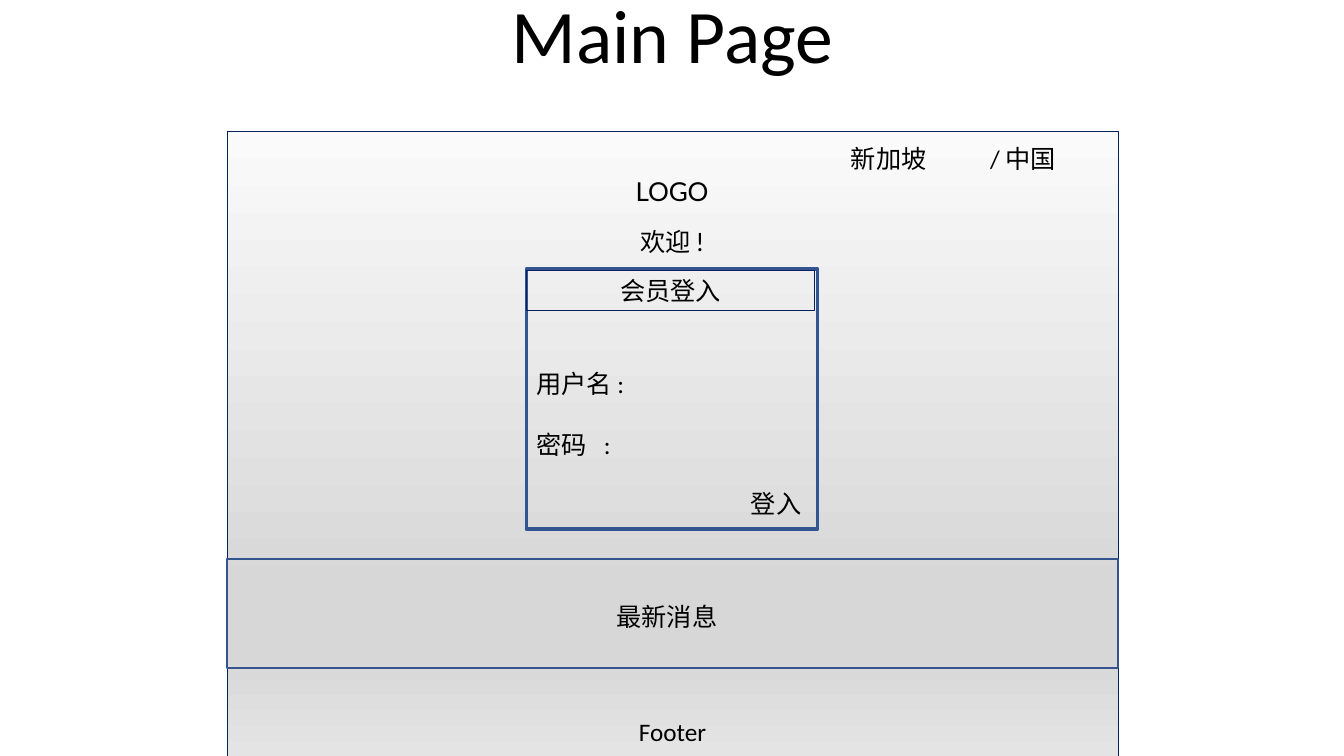
import lxml.etree
import pptx
import pptx.dml.color
import pptx.enum.shapes
import pptx.enum.text
import pptx.oxml
import pptx.oxml.ns
import pptx.util

COLORS = {
    "ink": "000000",
    "navy": "002060",
    "blue": "325491",
    "page_top": "FAFAFA",
    "page_mid": "D7D7D7",
    "page_end": "E4E4E4",
}
PAGE_STOPS = [(0, "page_top"), (74, "page_mid"), (83, "page_mid"), (100, "page_end")]
ALIGN = pptx.enum.text.PP_ALIGN
ANCHOR = pptx.enum.text.MSO_ANCHOR
PAGE_LEFT, PAGE_WIDTH = 16.88, 66.32
LOGIN_LEFT = 39.16
LINE_HEIGHT = 5.33


def rgb(name):
    return pptx.dml.color.RGBColor.from_string(COLORS[name])


def write_text(frame, text, size=18, font="Calibri", align=ALIGN.LEFT, anchor=ANCHOR.TOP,
               wrap=True, inset=0.1, tab=None, gap=0, spacing=None, baseline=None):
    frame.word_wrap = wrap
    frame.auto_size = pptx.enum.text.MSO_AUTO_SIZE.NONE
    frame.vertical_anchor = anchor
    frame.margin_left = pptx.util.Inches(inset)
    for index, line in enumerate(text.split("\n")):
        paragraph = frame.add_paragraph() if index else frame.paragraphs[0]
        paragraph.alignment = align
        if tab:
            stops = lxml.etree.SubElement(paragraph._p.get_or_add_pPr(),
                                          pptx.oxml.ns.qn("a:tabLst"))
            lxml.etree.SubElement(stops, pptx.oxml.ns.qn("a:tab"),
                                  pos=str(pptx.util.Inches(tab)), algn="l")
        if spacing:
            paragraph.line_spacing = spacing
        if index and gap:
            paragraph.space_before = pptx.util.Pt(gap)
        run = paragraph.add_run()
        run.text = line
        run.font.size = pptx.util.Pt(size)
        run.font.name = font
        run.font.color.rgb = rgb("ink")
        if baseline:
            run.font._element.set("baseline", str(baseline * 1000))


class Wireframe:
    """Draws page parts on one slide, placed in percent of the slide's size."""

    def __init__(self, deck):
        self.deck = deck
        self.slide = deck.slides.add_slide(deck.slide_layouts[0])
        subtitle = self.slide.placeholders[1]._element
        subtitle.getparent().remove(subtitle)

    def area(self, left, top, width, height):
        across, down = self.deck.slide_width / 100, self.deck.slide_height / 100
        return [round(share * unit) for share, unit in
                zip((left, top, width, height), (across, down, across, down))]

    def title(self, area, text, **style):
        heading = self.slide.shapes.title
        heading.left, heading.top, heading.width, heading.height = self.area(*area)
        write_text(heading.text_frame, text, **style)

    def label(self, area, text, **style):
        box = self.slide.shapes.add_textbox(*self.area(*area))
        write_text(box.text_frame, text, **style)

    def panel(self, area, line, weight, stops=None):
        panel = self.slide.shapes.add_shape(
            pptx.enum.shapes.MSO_SHAPE.RECTANGLE, *self.area(*area))
        panel.shadow.inherit = False
        panel.line.color.rgb = rgb(line)
        panel.line.width = pptx.util.Pt(weight)
        if stops:
            self.shade(panel, stops)
        else:
            panel.fill.background()
        return panel

    def shade(self, panel, stops):
        panel.fill.gradient()
        panel.fill.gradient_angle = 270
        stop_list = panel._element.spPr.find(".//" + pptx.oxml.ns.qn("a:gsLst"))
        for old_stop in list(stop_list):
            stop_list.remove(old_stop)
        for position, color in stops:
            stop = lxml.etree.SubElement(stop_list, pptx.oxml.ns.qn("a:gs"),
                                         pos=str(position * 1000))
            lxml.etree.SubElement(stop, pptx.oxml.ns.qn("a:srgbClr"), val=COLORS[color])


def main():
    deck = pptx.Presentation()
    deck.slide_width = pptx.util.Inches(13.33)
    deck.slide_height = pptx.util.Inches(7.5)
    wireframe = Wireframe(deck)

    wireframe.title((21.91, 0.93, 56.26, 10.27), "Main Page", size=54,
                    align=ALIGN.CENTER, anchor=ANCHOR.BOTTOM, spacing=0.9)
    wireframe.panel((PAGE_LEFT, 17.33, PAGE_WIDTH, 82.67), "navy", 0.5, PAGE_STOPS)
    wireframe.label((46.44, 21.87, 7.13, 5.73), "LOGO", size=32, font="Lato",
                    align=ALIGN.CENTER, wrap=False, baseline=30)
    wireframe.panel((LOGIN_LEFT, 35.6, 21.68, 34.4), "blue", 2.5)
    wireframe.label((61.82, 18.27, 21, LINE_HEIGHT), "新加坡\t/ 中国", inset=0.2, tab=1.38)
    login_header = wireframe.panel((LOGIN_LEFT, 35.73, 21.46, LINE_HEIGHT), "navy", 0.75)
    write_text(login_header.text_frame, "会员登入", align=ALIGN.CENTER)
    wireframe.label((LOGIN_LEFT, 48.13, 21.16, 13.47), "用户名 :\n密码\t:", tab=0.67, gap=21.6)
    wireframe.panel((PAGE_LEFT, 74, PAGE_WIDTH, 14.4), "blue", 1.5)
    wireframe.label((20.33, 78.93, 58.59, LINE_HEIGHT), "最新消息", align=ALIGN.CENTER)
    wireframe.label((38.18, 29.33, 23.63, LINE_HEIGHT), "欢迎 !", font="Lato",
                    align=ALIGN.CENTER)
    wireframe.label((PAGE_LEFT, 94.13, PAGE_WIDTH, LINE_HEIGHT), "Footer", align=ALIGN.CENTER)
    wireframe.label((55.14, 63.87, 5.78, LINE_HEIGHT), "登入")

    deck.save("out.pptx")


if __name__ == "__main__":
    main()
